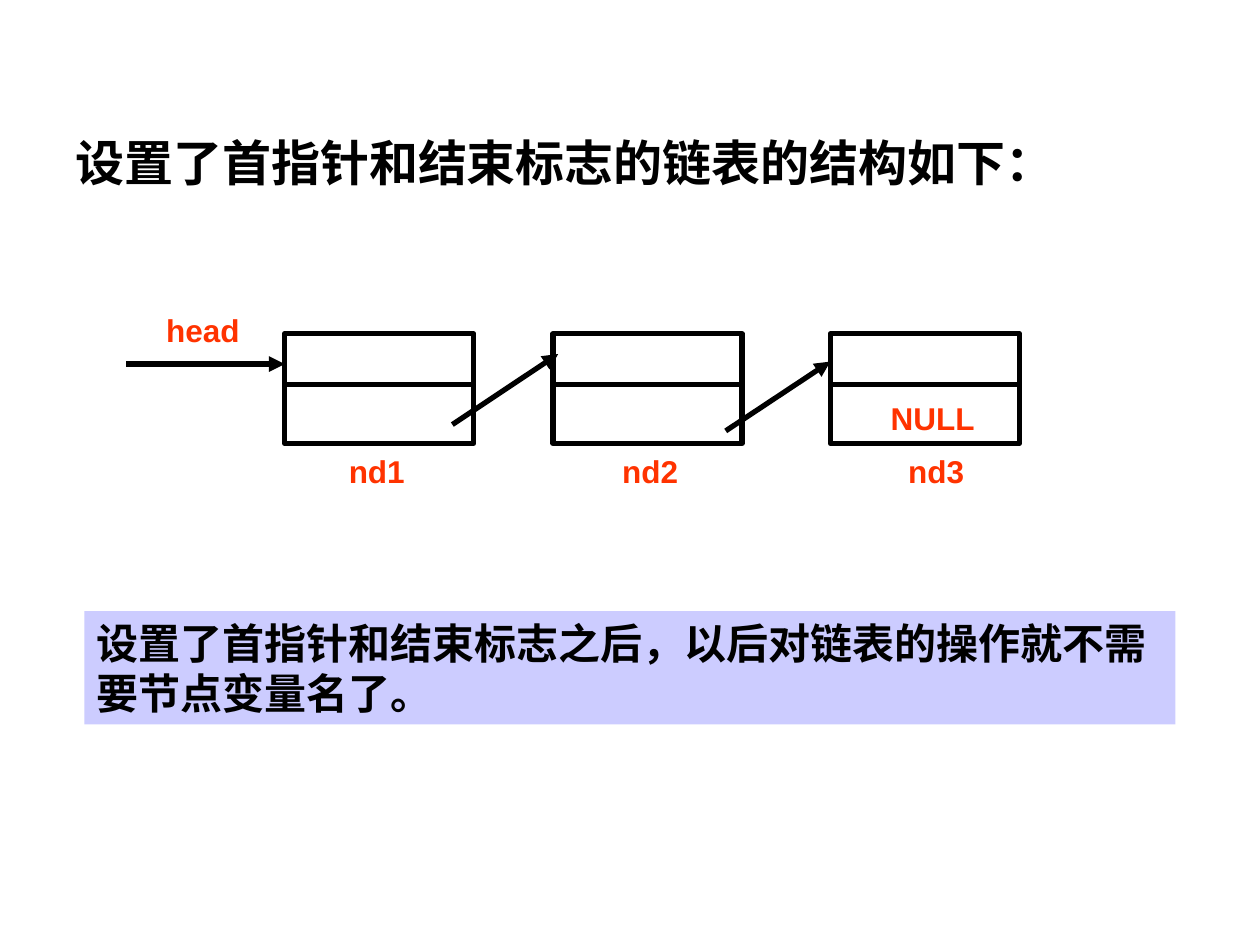
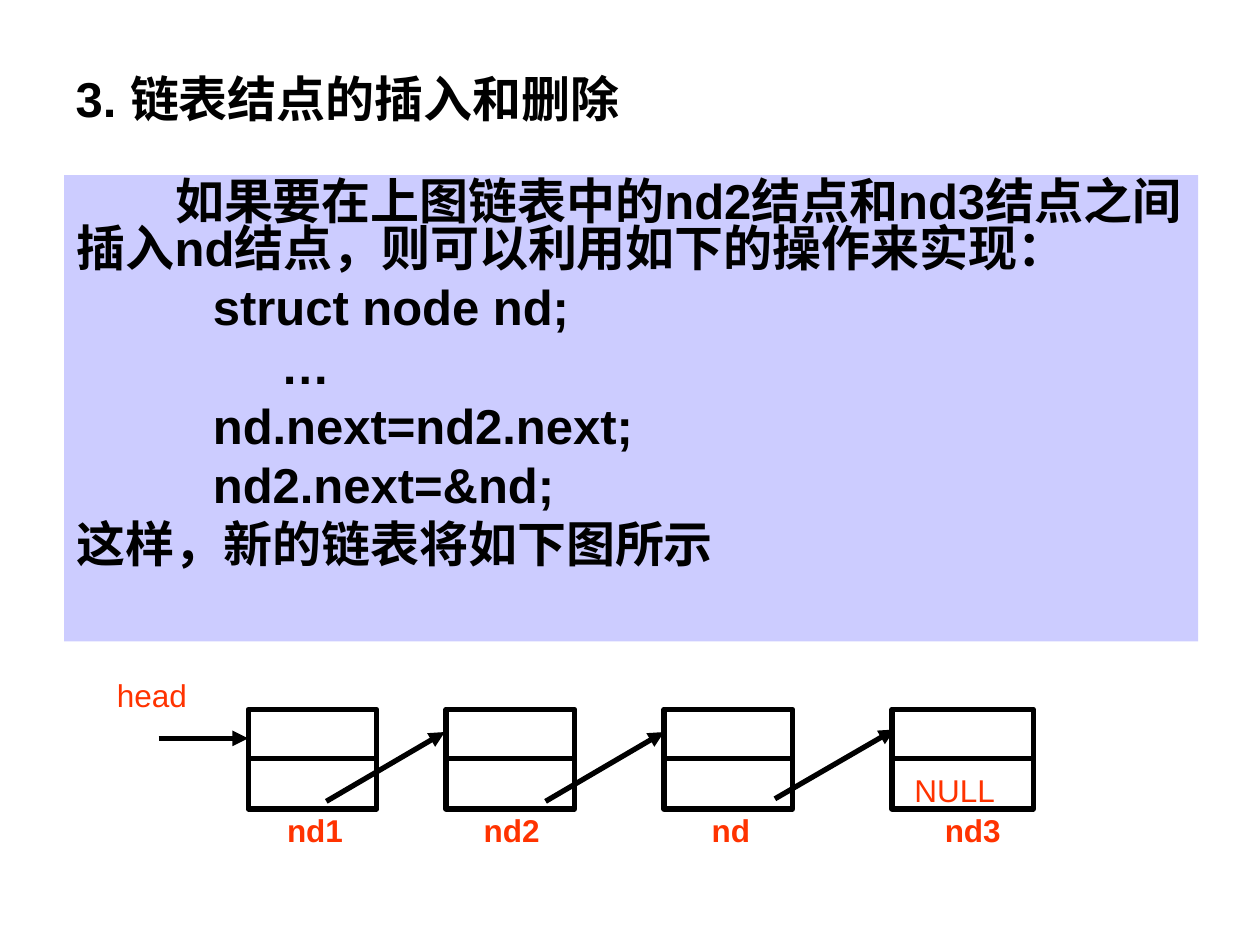
import pptx
import pptx.util
import pptx.dml.color
import pptx.enum.text
import pptx.enum.shapes
import pptx.oxml
import pptx.oxml.ns

Inches = pptx.util.Inches
Pt = pptx.util.Pt
Anchor = pptx.enum.text.MSO_ANCHOR
Color = pptx.dml.color.RGBColor.from_string

theme = {
    "font": "Arial",
    "ink": Color("000000"),
    "label": Color("FF3300"),
    "panel": Color("CCCCFF"),
    "node": Color("FFFFFF"),
    "heading_size": Pt(28),
    "callout_size": Pt(24),
    "label_size": Pt(18),
    "line_width": Pt(3),
}


def write_text(frame, lines, size, color, bold=True, anchor=Anchor.TOP):
    frame_format = {
        "word_wrap": True,
        "auto_size": pptx.enum.text.MSO_AUTO_SIZE.NONE,
        "vertical_anchor": anchor,
        "margin_left": Inches(0.1),
        "margin_right": Inches(0.1),
        "margin_top": Inches(0.05),
        "margin_bottom": Inches(0.05),
    }
    for name, value in frame_format.items():
        setattr(frame, name, value)
    for index, line in enumerate(lines):
        para = frame.paragraphs[0] if index == 0 else frame.add_paragraph()
        para.alignment = pptx.enum.text.PP_ALIGN.LEFT
        span = para.add_run()
        span.text = line
        font_format = {"name": theme["font"], "size": size, "bold": bold}
        for name, value in font_format.items():
            setattr(span.font, name, value)
        span.font.color.rgb = color


def draw_line(page, start, end, arrow=False):
    line = page.shapes.add_connector(
        pptx.enum.shapes.MSO_CONNECTOR.STRAIGHT,
        *[Inches(value) for value in (*start, *end)],
    )
    line.line.color.rgb = theme["ink"]
    line.line.width = theme["line_width"]
    if arrow:
        tail = pptx.oxml.parse_xml(
            f'<a:tailEnd {pptx.oxml.ns.nsdecls("a")} type="triangle"/>'
        )
        line.line._get_or_add_ln().append(tail)
    effects = pptx.oxml.parse_xml(f'<a:effectLst {pptx.oxml.ns.nsdecls("a")}/>')
    line._element.spPr.append(effects)


deck = pptx.Presentation()
deck.slide_width = Inches(10)
deck.slide_height = Inches(7.5)

structure_page = deck.slides.add_slide(deck.slide_layouts[5])
insertion_page = deck.slides.add_slide(deck.slide_layouts[1])

headings = [
    (structure_page, "设置了首指针和结束标志的链表的结构如下：", 0.99, 0.59),
    (insertion_page, "3. 链表结点的插入和删除", 0.39, 0.77),
]
for page, heading, top, height in headings:
    title = page.shapes.title
    title.left, title.top = Inches(0.5), Inches(top)
    title.width, title.height = Inches(9), Inches(height)
    write_text(title.text_frame, [heading], theme["heading_size"], theme["ink"],
               anchor=Anchor.MIDDLE)

callout = structure_page.shapes.add_shape(
    pptx.enum.shapes.MSO_SHAPE.RECTANGLE,
    Inches(0.67), Inches(4.85), Inches(8.66), Inches(0.9),
)
callout.shadow.inherit = False
callout.line.fill.background()
write_text(
    callout.text_frame,
    ["设置了首指针和结束标志之后，以后对链表的操作就不需要节点变量名了。"],
    theme["callout_size"], theme["ink"],
)

steps = [
    ("如果要在上图链表中的nd2结点和nd3结点之间插入nd结点，则可以利用如下的操作来实现：", 0, 0.78),
    ("struct node nd;", 1.08, 0),
    ("…", 1.62, 0),
    ("nd.next=nd2.next;", 1.08, 0),
    ("nd2.next=&nd;", 1.08, 0),
    ("这样，新的链表将如下图所示", 0, 0),
]
body = insertion_page.placeholders[1]
body.left, body.top = Inches(0.51), Inches(1.39)
body.width, body.height = Inches(9), Inches(3.7)
write_text(body.text_frame, [step[0] for step in steps],
           theme["heading_size"], theme["ink"])
for para, (_, margin, indent) in zip(body.text_frame.paragraphs, steps):
    para.line_spacing = 0.8
    para.space_before = Pt(7)
    properties = para._p.get_or_add_pPr()
    properties.set("marL", str(Inches(margin)))
    properties.set("indent", str(Inches(indent)))
    properties.append(
        pptx.oxml.parse_xml(f'<a:buNone {pptx.oxml.ns.nsdecls("a")}/>')
    )

for panel in (callout, body):
    panel.fill.solid()
    panel.fill.fore_color.rgb = theme["panel"]

linked_lists = [
    {
        "page": structure_page,
        "top": 2.65, "height": 0.87, "divider": 3.05,
        "nodes": [(2.26, 1.5), (4.39, 1.5), (6.59, 1.5)],
        "pointers": [((1, 2.89), (2.26, 2.89)),
                     ((3.59, 3.37), (4.43, 2.81)),
                     ((5.76, 3.42), (6.59, 2.87))],
        "name_top": 3.54,
        "names": [("nd1", 2.67), ("nd2", 4.84), ("nd3", 7.11)],
        "markers": [("head", 1.22, 2.42), ("NULL", 6.97, 3.12)],
        "marker_bold": True,
    },
    {
        "page": insertion_page,
        "top": 5.63, "height": 0.79, "divider": 6.02,
        "nodes": [(1.97, 1.02), (3.54, 1.02), (5.27, 1.02), (7.08, 1.12)],
        "pointers": [((1.26, 5.86), (1.97, 5.86)),
                     ((2.59, 6.36), (3.53, 5.81)),
                     ((4.33, 6.36), (5.27, 5.81)),
                     ((6.15, 6.34), (7.1, 5.79))],
        "name_top": 6.39,
        "names": [("nd1", 2.18), ("nd2", 3.74), ("nd", 5.55), ("nd3", 7.4)],
        "markers": [("head", 0.83, 5.32), ("NULL", 7.16, 6.07)],
        "marker_bold": False,
    },
]
for chain in linked_lists:
    page = chain["page"]
    for left, width in chain["nodes"]:
        node = page.shapes.add_shape(
            pptx.enum.shapes.MSO_SHAPE.RECTANGLE,
            Inches(left), Inches(chain["top"]), Inches(width), Inches(chain["height"]),
        )
        node.shadow.inherit = False
        node.fill.solid()
        node.fill.fore_color.rgb = theme["node"]
        node.line.color.rgb = theme["ink"]
        node.line.width = theme["line_width"]
        draw_line(page, (left, chain["divider"]), (left + width, chain["divider"]))
    for start, end in chain["pointers"]:
        draw_line(page, start, end, arrow=True)
    labels = [(name, left, chain["name_top"], True) for name, left in chain["names"]]
    labels += [(*marker, chain["marker_bold"]) for marker in chain["markers"]]
    for text, left, top, bold in labels:
        box = page.shapes.add_textbox(
            Inches(left), Inches(top), Inches(1), Inches(0.4)
        )
        write_text(box.text_frame, [text], theme["label_size"], theme["label"], bold)

deck.save("out.pptx")
